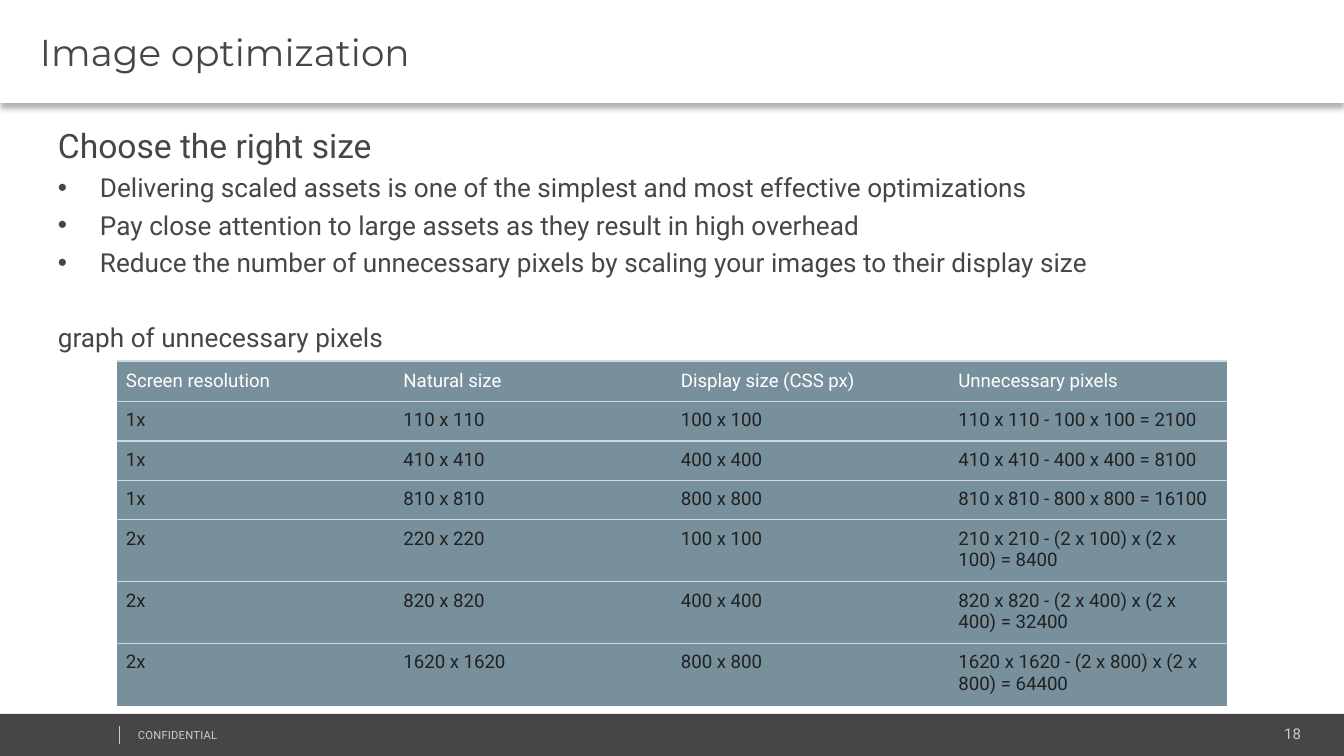
from dataclasses import dataclass, field

from lxml import etree
from pptx import Presentation
from pptx import util as u
from pptx.dml.color import RGBColor
from pptx.enum import shapes, text
from pptx.oxml import parse_xml
from pptx.oxml.ns import qn

SCALE = 914400 / 134.4
NS = 'xmlns:a="http://schemas.openxmlformats.org/drawingml/2006/main"'
DARK, PALE, WHITE = "464547", "CCCCCC", "FFFFFF"
INK, SLATE, RULE = "212121", "78909C", "CFD8DC"
PLAIN = "{2D5ABB26-0587-4C30-8999-92F81FD0307C}"


@dataclass
class Para:
    words: str
    size: int
    color: str = DARK
    face: str = "Roboto"
    bullet: bool = False
    form: dict = field(default_factory=dict)


@dataclass
class Block:
    box: tuple[int, int, int, int]
    paras: list[Para]
    frame: dict = field(default_factory=dict)


def px(n: float) -> int:
    return round(n * SCALE)


def rgb(code: str) -> RGBColor:
    return RGBColor.from_string(code)


def apply(obj, form: dict) -> None:
    for key, val in form.items():
        setattr(obj, key, val)


def insets(left: int, top: int, right: int, bottom: int) -> dict:
    names = ("left", "top", "right", "bottom")
    return {f"margin_{n}": px(v) for n, v in zip(names, (left, top, right, bottom))}


def write(frame, paras: list[Para]) -> None:
    for i, item in enumerate(paras):
        para = frame.add_paragraph() if i else frame.paragraphs[0]
        apply(para, {"alignment": text.PP_ALIGN.LEFT, **item.form})
        run = para.add_run()
        run.text = item.words
        apply(run.font, {"size": u.Pt(item.size), "name": item.face})
        run.font.color.rgb = rgb(item.color)
        if item.bullet:
            props = para._p.get_or_add_pPr()
            props.set("marL", str(px(42)))
            props.set("indent", str(px(-42)))
            props.append(parse_xml(f'<a:buFont {NS} typeface="Arial"/>'))
            props.append(parse_xml(f'<a:buChar {NS} char="•"/>'))


def add_text(slide, block: Block):
    shape = slide.shapes.add_textbox(*map(px, block.box))
    apply(shape.text_frame, {"word_wrap": True, **insets(9, 5, 9, 5), **block.frame})
    write(shape.text_frame, block.paras)
    return shape


def add_band(slide, box: tuple[int, int, int, int], color: str):
    band = slide.shapes.add_shape(shapes.MSO_SHAPE.RECTANGLE, *map(px, box))
    band.shadow.inherit = False
    band.fill.solid()
    band.fill.fore_color.rgb = rgb(color)
    band.line.fill.background()
    return band


def add_head(slide, title: Para) -> None:
    band = add_band(slide, (0, 0, 1344, 103), WHITE)
    effects = band._element.spPr.find(qn("a:effectLst"))
    effects.append(parse_xml(
        f'<a:outerShdw {NS} blurRad="{u.Pt(3.1)}" dist="{u.Pt(2)}" dir="5400000" '
        'algn="t" rotWithShape="0"><a:srgbClr val="000000"><a:alpha val="30000"/>'
        '</a:srgbClr></a:outerShdw>'))
    apply(band.text_frame, {"word_wrap": True, **insets(40, 5, 9, 5),
                            "vertical_anchor": text.MSO_ANCHOR.MIDDLE})
    write(band.text_frame, [title])


def add_foot(slide) -> None:
    add_band(slide, (0, 714, 1344, 42), DARK)
    add_text(slide, Block((1091, 720, 219, 28), [
        Para("18", 8, PALE, form={"alignment": text.PP_ALIGN.RIGHT})]))
    note = add_text(slide, Block((129, 723, 340, 24), [Para("CONFIDENTIAL", 6, PALE)]))
    note.text_frame.paragraphs[0].runs[0].font._element.set("spc", "10")
    rule = slide.shapes.add_connector(
        shapes.MSO_CONNECTOR.STRAIGHT, px(119), px(726), px(119), px(744))
    rule.line.color.rgb = rgb(PALE)
    rule.line.width = u.Pt(0.25)
    etree.SubElement(rule._element.spPr, qn("a:effectLst"))


def add_grid(slide, rows: list[tuple[str, ...]], highs: list[int]) -> None:
    wide = 1110
    holder = slide.shapes.add_table(
        len(rows), len(rows[0]), px(117), px(361), px(wide), px(sum(highs)))
    grid = holder.table
    apply(grid, {"first_row": False, "horz_banding": False})
    grid._tbl.tblPr.find(qn("a:tableStyleId")).text = PLAIN
    for col in grid.columns:
        col.width = px(wide / len(rows[0]))
    for r, (row, high) in enumerate(zip(rows, highs)):
        grid.rows[r].height = px(high)
        sides = ["lnT"] if r == len(rows) - 1 else ["lnT", "lnB"]
        for c, words in enumerate(row):
            cell = grid.cell(r, c)
            head = r == 0
            anchor = text.MSO_ANCHOR.MIDDLE if head else text.MSO_ANCHOR.TOP
            apply(cell, {"vertical_anchor": anchor,
                         **insets(9, 9 if head else 8, 9, 9)})
            cell.fill.solid()
            cell.fill.fore_color.rgb = rgb(SLATE)
            write(cell.text_frame, [Para(words, 10, WHITE if head else INK)])
            for i, side in enumerate(sides):
                cell._tc.tcPr.insert(i, parse_xml(
                    f'<a:{side} {NS} w="{u.Pt(0.75)}"><a:solidFill>'
                    f'<a:srgbClr val="{RULE}"/></a:solidFill></a:{side}>'))


POINTS = [
    "Delivering scaled assets is one of the simplest and most effective optimizations",
    "Pay close attention to large assets as they result in high overhead",
    "Reduce the number of unnecessary pixels by scaling your images to their display size",
]
ROWS = [
    ("Screen resolution", "Natural size", "Display size (CSS px)", "Unnecessary pixels"),
    ("1x", "110 x 110", "100 x 100", "110 x 110 - 100 x 100 = 2100"),
    ("1x", "410 x 410", "400 x 400", "410 x 410 - 400 x 400 = 8100"),
    ("1x", "810 x 810", "800 x 800", "810 x 810 - 800 x 800 = 16100"),
    ("2x", "220 x 220", "100 x 100", "210 x 210 - (2 x 100) x (2 x 100) = 8400"),
    ("2x", "820 x 820", "400 x 400", "820 x 820 - (2 x 400) x (2 x 400) = 32400"),
    ("2x", "1620 x 1620", "800 x 800", "1620 x 1620 - (2 x 800) x (2 x 800) = 64400"),
]


def main() -> None:
    deck = Presentation()
    apply(deck, {"slide_width": px(1344), "slide_height": px(756)})
    slide = deck.slides.add_slide(deck.slide_layouts[6])
    add_foot(slide)
    add_head(slide, Para("Image optimization", 20, face="Montserrat"))
    loose = {"line_spacing": 1.2}
    add_text(slide, Block((49, 112, 1226, 497), [
        Para("Choose the right size", 18, form=loose),
        *(Para(p, 14, bullet=True, form=loose) for p in POINTS),
        Para("graph of unnecessary pixels", 14,
             form={**loose, "space_before": u.Pt(20)}),
    ]))
    add_grid(slide, ROWS, [40] + [39] * 3 + [61] * 3)
    deck.save("out.pptx")


if __name__ == "__main__":
    main()
